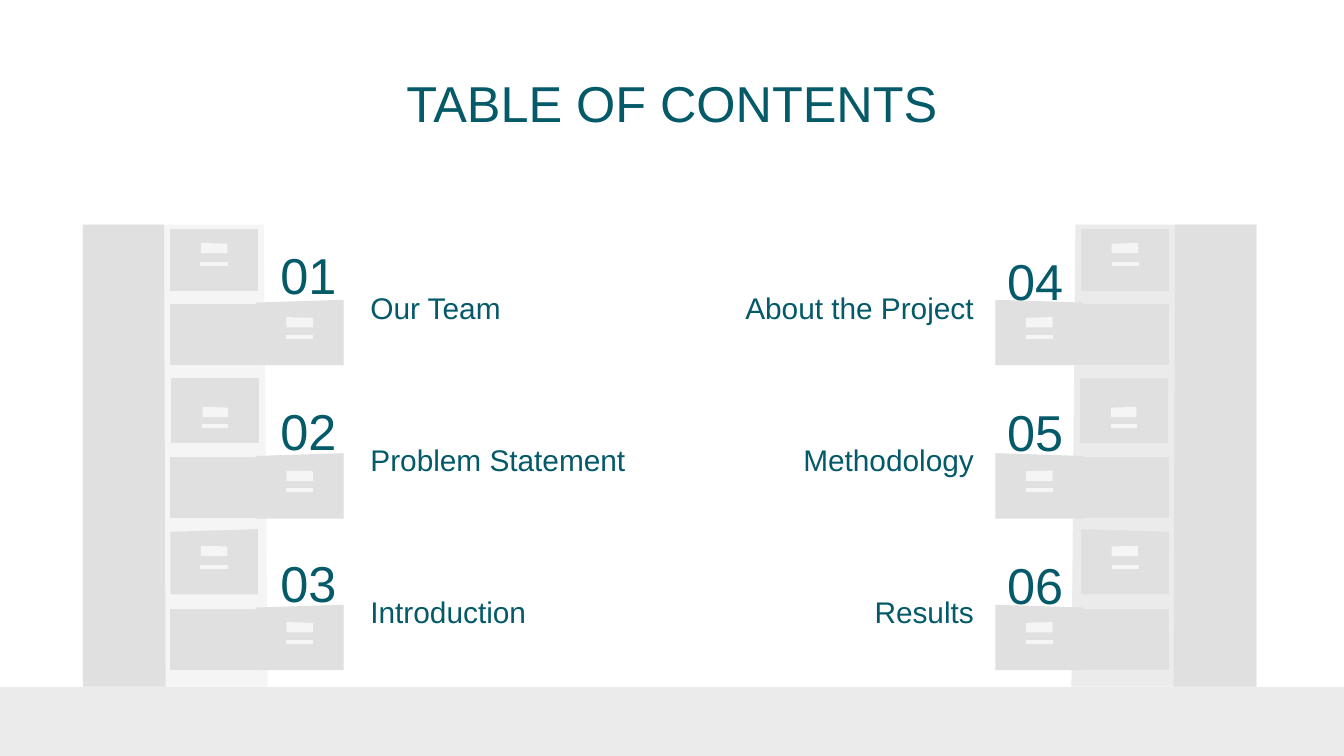
from pptx import Presentation
from pptx.dml.color import RGBColor
from pptx.enum.text import MSO_ANCHOR, PP_ALIGN
from pptx.util import Pt

LEFT, CENTER, RIGHT = PP_ALIGN.LEFT, PP_ALIGN.CENTER, PP_ALIGN.RIGHT
TOP, MIDDLE, BOTTOM = MSO_ANCHOR.TOP, MSO_ANCHOR.MIDDLE, MSO_ANCHOR.BOTTOM

WIDTH, HEIGHT = 720, 405
GROUND_TOP = 367.9
CABINET_TOP = 120.4
MIRROR_SUM = 717.4  # left x + right x of mirrored points


def rgb(value):
    return RGBColor.from_string(value)


class ContentsSlide:
    FONT = "Arial"
    INK = "045A68"
    DRAWER = "E0E0E0"
    LABEL = "F5F5F5"
    GROUND = "EBEBEB"
    INSET = 7.2

    def __init__(self, slide):
        self.slide = slide
        self.mirrored = False

    def text(self, words, left, top, width, height, size, align, anchor):
        box = self.slide.shapes.add_textbox(Pt(left), Pt(top), Pt(width), Pt(height))
        frame = box.text_frame
        frame.word_wrap = True
        frame.vertical_anchor = anchor
        frame.margin_left = frame.margin_right = Pt(self.INSET)
        frame.margin_top = frame.margin_bottom = Pt(self.INSET)
        paragraph = frame.paragraphs[0]
        paragraph.alignment = align
        run = paragraph.add_run()
        run.text = words
        run.font.name = self.FONT
        run.font.size = Pt(size)
        run.font.color.rgb = rgb(self.INK)

    def outline(self, points, color):
        if self.mirrored:
            points = [(MIRROR_SUM - x, y) for x, y in points]
        corners = [(Pt(x), Pt(y)) for x, y in points]
        builder = self.slide.shapes.build_freeform(*corners[0])
        builder.add_line_segments(corners[1:], close=True)
        shape = builder.convert_to_shape()
        shape.shadow.inherit = False
        shape.fill.solid()
        shape.fill.fore_color.rgb = rgb(color)
        shape.line.fill.background()

    def panel(self, left, top, width, height, color, left_drop=0, right_drop=0):
        right, bottom = left + width, top + height
        self.outline([(left, top + left_drop), (left, bottom),
                      (right, bottom), (right, top + right_drop)], color)

    def label(self, left, top, line_top, width):
        self.panel(left + 0.3, top, width - 0.3, 5.5, self.LABEL, right_drop=0.4)
        self.panel(left, line_top, width, 2, self.LABEL)

    def closed_drawer(self, left, top, height, drop, label_left, label_top, line_top, label_width):
        self.panel(left, top, 46.9, height, self.DRAWER, left_drop=drop)
        self.label(label_left, label_top, line_top, label_width)

    def open_drawer(self, top):
        self.panel(137.1, top, 47, 35, self.DRAWER, left_drop=1.5)
        self.label(153.2, top + 9.3, top + 18.9, 14.6)
        self.panel(91.2, top + 2.2, 45.9, 32.6, self.DRAWER)

    def cabinet(self, front_color, mirrored):
        self.mirrored = mirrored
        self.outline([(44.4, CABINET_TOP), (44.4, GROUND_TOP),
                      (143.4, GROUND_TOP), (141.3, CABINET_TOP)], front_color)
        self.outline([(44.4, CABINET_TOP), (44.4, GROUND_TOP),
                      (88.7, GROUND_TOP), (87.9, CABINET_TOP)], self.DRAWER)
        for drawer in CLOSED_DRAWERS:
            self.closed_drawer(*drawer)
        for top in OPEN_DRAWER_TOPS:
            self.open_drawer(top)
        self.mirrored = False


# left, top, height, slant, label left, label top, line top, label width
CLOSED_DRAWERS = [
    (91.3, 122.7, 33.3, 0, 107.3, 130.2, 140.4, 14.6),
    (91.8, 202.5, 34.9, 0, 108.3, 218, 227.2, 13.8),
    (91.3, 283.5, 34.9, 1.4, 107.3, 292.4, 302.6, 14.6),
]
OPEN_DRAWER_TOPS = [160.6, 242.8, 324]

# heading, heading bottom, number top
LEFT_TOPICS = [("Our Team", 181.6, 123.8), ("Problem Statement", 263, 207),
               ("Introduction", 344.6, 288.5)]
RIGHT_TOPICS = [("About the Project", 181.6, 126.8), ("Methodology", 263, 207.9),
                ("Results", 344.6, 289.8)]
# topics, heading left, number left, alignment
COLUMNS = [(LEFT_TOPICS, 191.4, 139.2, LEFT), (RIGHT_TOPICS, 367.5, 528.6, RIGHT)]


def main():
    deck = Presentation()
    deck.slide_width, deck.slide_height = Pt(WIDTH), Pt(HEIGHT)
    page = ContentsSlide(deck.slides.add_slide(deck.slide_layouts[6]))

    # Ground and title
    page.panel(0, GROUND_TOP, WIDTH, HEIGHT - GROUND_TOP, page.GROUND)
    page.text("TABLE OF CONTENTS", 56.7, 42.3, 606.6, 25.2, 27, CENTER, MIDDLE)

    # Filing cabinets
    page.cabinet(page.GROUND, mirrored=True)
    page.cabinet(page.LABEL, mirrored=False)

    # Numbered topics, standing on the open drawers
    number = 1
    for topics, heading_left, number_left, align in COLUMNS:
        for heading, bottom, number_top in topics:
            page.text(heading, heading_left, bottom - 50.4, 161.3, 50.4, 16, align, BOTTOM)
            page.text(f"{number:02d}", number_left, number_top, 52, 64.8, 27, CENTER, TOP)
            number += 1

    deck.save("out.pptx")


if __name__ == "__main__":
    main()
